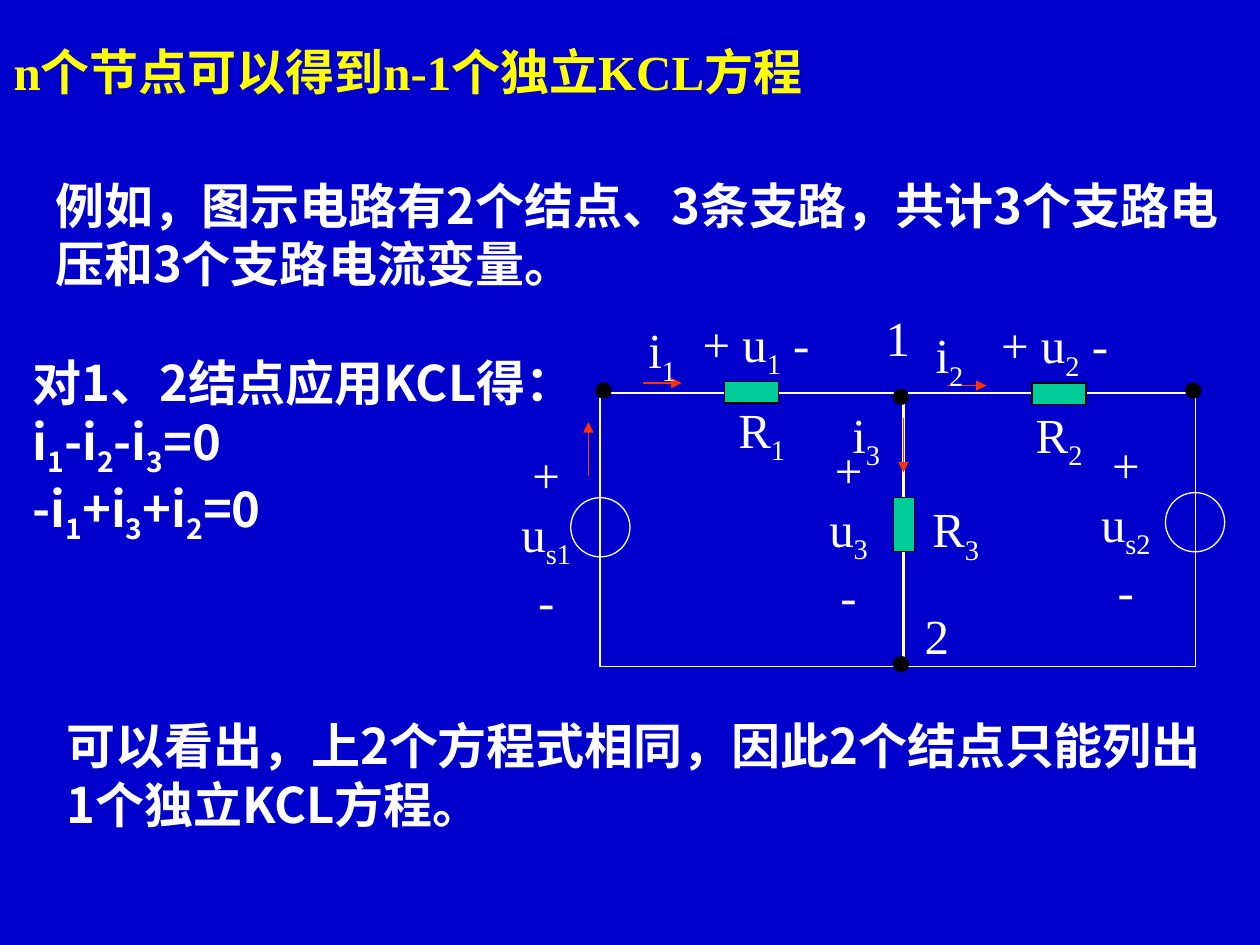
from dataclasses import dataclass

import pptx
import pptx.dml.color
import pptx.enum.shapes
import pptx.enum.text
import pptx.oxml.ns
import pptx.util
from lxml import etree

COLUMNS, ROWS = 100, 75
COLORS = {
    "background": "0000CC",
    "text": "FFFFFF",
    "title": "FFFF00",
    "wire": "FFFFFF",
    "resistor": "00CC99",
    "node": "000000",
    "outline": "000000",
    "current": "FF3300",
}
SANS = "Noto Sans CJK SC"
SERIF = "Times New Roman"
ALIGN = pptx.enum.text.PP_ALIGN
SHAPE = pptx.enum.shapes.MSO_SHAPE
NODE_SIZE = 1.2
SOURCE_SIZE = 4.7
RESISTOR_LENGTH, RESISTOR_WIDTH = 4.3, 1.7
LABEL_HEIGHT = 6.3


@dataclass(frozen=True)
class Box:
    column: float
    row: float
    width: float
    height: float


@dataclass(frozen=True)
class Text:
    box: Box
    lines: tuple[str, ...]
    font: str = SANS
    bold: bool = True
    color: str = "text"
    align: ALIGN = ALIGN.LEFT


@dataclass(frozen=True)
class Part:
    shape: SHAPE
    box: Box
    fill: str | None
    line: str
    weight: float = 0.75


@dataclass(frozen=True)
class Line:
    start: tuple[float, float]
    end: tuple[float, float]
    color: str
    weight: float = 0.75
    arrow: bool = False


def label(column: float, row: float, width: float, *lines: str,
          height: float = LABEL_HEIGHT) -> Text:
    return Text(Box(column, row, width, height), lines, SERIF, False, align=ALIGN.CENTER)


def node(column: float, row: float) -> Part:
    return Part(SHAPE.OVAL, Box(column, row, NODE_SIZE, NODE_SIZE), "node", "outline")


def source(column: float, row: float) -> Part:
    return Part(SHAPE.OVAL, Box(column, row, SOURCE_SIZE, SOURCE_SIZE), None, "wire")


def resistor(column: float, row: float, upright: bool = False) -> Part:
    size = (RESISTOR_LENGTH, RESISTOR_WIDTH)
    return Part(SHAPE.RECTANGLE, Box(column, row, *(size[::-1] if upright else size)),
                "resistor", "outline")


def current(start: tuple[float, float], end: tuple[float, float]) -> Line:
    return Line(start, end, "current", arrow=True)


LOOP = Part(SHAPE.RECTANGLE, Box(47.6, 31.2, 47.3, 21.7), None, "wire", 1)
MIDDLE = 71.7
MIDDLE_WIRE = Line((MIDDLE, 31.2), (MIDDLE, 52.9), "wire", 1.5)
PARTS = (
    resistor(57.5, 30.3), resistor(81.9, 30.4), resistor(70.9, 39.5, True),
    source(45.3, 39.5), source(92.5, 39.1),
    node(47.3, 30.4), node(70.9, 30.9), node(94.1, 30.4), node(70.9, 52.1),
)
CURRENTS = (
    current((46.7, 37.8), (46.7, 33.5)),
    current((51, 30.4), (54.1, 30.4)),
    current((75.2, 30.6), (78.3, 30.6)),
    current((MIDDLE, 33.2), (MIDDLE, 37.5)),
)
LABELS = (
    label(53.9, 24.4, 12.2, "+ u|1| -"),
    label(77.6, 24.5, 12.2, "+ u|2| -"),
    label(39.8, 34.8, 7.1, "+", "u|s1| -", height=15.7),
    label(64.2, 34.4, 6.3, "+", "u|3| -", height=15.7),
    label(85.4, 34, 7.9, "+", "u|s2| -", height=15.7),
    label(49.6, 24.9, 5.9, "i|1"),
    label(72.4, 25.3, 5.9, "i|2"),
    label(65.8, 31.6, 5.9, "i|3"),
    label(56.7, 31.2, 7.5, "R|1"),
    label(80.3, 31.6, 7.5, "R|2"),
    label(72.1, 39.1, 7.5, "R|3"),
    label(68.3, 23.9, 5.9, "1", height=5.7),
    label(71.4, 47.6, 5.9, "2", height=5.7),
)
TEXTS = (
    Text(Box(3.4, 13.4, 95.3, 10.4),
         ("例如，图示电路有2个结点、3条支路，共计3个支路电压和3个支路电流变量。",)),
    Text(Box(1.6, 27.5, 41.3, 21),
         ("对1、2结点应用KCL得：", "i|1|-i|2|-i|3|=0", "-i|1|+i|3|+i|2|=0")),
    Text(Box(4.3, 56.3, 92.1, 10.4),
         ("可以看出，上2个方程式相同，因此2个结点只能列出1个独立KCL方程。",)),
    Text(Box(0.1, 2.8, 70.1, 5.7), ("n个节点可以得到n-1个独立KCL方程",), SERIF, color="title"),
)


class Canvas:
    def __init__(self, presentation: pptx.presentation.Presentation) -> None:
        self.cell_width = presentation.slide_width / COLUMNS
        self.cell_height = presentation.slide_height / ROWS

    def point(self, column: float, row: float) -> tuple[int, int]:
        return round(column * self.cell_width), round(row * self.cell_height)

    def frame(self, box: Box) -> tuple[int, ...]:
        return self.point(box.column, box.row) + self.point(box.width, box.height)


def rgb(name: str) -> pptx.dml.color.RGBColor:
    return pptx.dml.color.RGBColor.from_string(COLORS[name])


def draw_part(shapes, canvas: Canvas, part: Part) -> None:
    shape = shapes.add_shape(part.shape, *canvas.frame(part.box))
    shape.shadow.inherit = False
    if part.fill:
        shape.fill.solid()
        shape.fill.fore_color.rgb = rgb(part.fill)
    else:
        shape.fill.background()
    shape.line.color.rgb = rgb(part.line)
    shape.line.width = pptx.util.Pt(part.weight)


def draw_line(shapes, canvas: Canvas, line: Line) -> None:
    connector = shapes.add_connector(pptx.enum.shapes.MSO_CONNECTOR.STRAIGHT,
                                     *canvas.point(*line.start), *canvas.point(*line.end))
    connector.line.color.rgb = rgb(line.color)
    connector.line.width = pptx.util.Pt(line.weight)
    qn = pptx.oxml.ns.qn
    if line.arrow:
        etree.SubElement(connector.line._get_or_add_ln(), qn("a:tailEnd"), type="triangle")
    etree.SubElement(connector._element.spPr, qn("a:effectLst"))


def draw_text(shapes, canvas: Canvas, text: Text) -> None:
    frame = shapes.add_textbox(*canvas.frame(text.box)).text_frame
    frame.word_wrap = True
    for index, line in enumerate(text.lines):
        paragraph = frame.add_paragraph() if index else frame.paragraphs[0]
        paragraph.alignment = text.align
        font = paragraph.font
        font.size = pptx.util.Pt(28)
        font.bold = text.bold
        font.color.rgb = rgb(text.color)
        font.name = text.font
        etree.SubElement(font._element, pptx.oxml.ns.qn("a:ea"), typeface=SANS)
        for position, piece in enumerate(line.split("|")):
            run = paragraph.add_run()
            run.text = piece
            if position % 2:
                run.font._element.set("baseline", "-25000")


def main() -> None:
    presentation = pptx.Presentation()
    presentation.slide_width = pptx.util.Inches(10)
    presentation.slide_height = pptx.util.Inches(7.5)
    slide = presentation.slides.add_slide(presentation.slide_layouts[6])
    slide.background.fill.solid()
    slide.background.fill.fore_color.rgb = rgb("background")
    canvas = Canvas(presentation)
    circuit = slide.shapes.add_group_shape().shapes
    draw_part(circuit, canvas, LOOP)
    draw_line(circuit, canvas, MIDDLE_WIRE)
    for part in PARTS:
        draw_part(circuit, canvas, part)
    for line in CURRENTS:
        draw_line(circuit, canvas, line)
    for text in LABELS:
        draw_text(circuit, canvas, text)
    for text in TEXTS:
        draw_text(slide.shapes, canvas, text)
    presentation.save("out.pptx")


if __name__ == "__main__":
    main()
